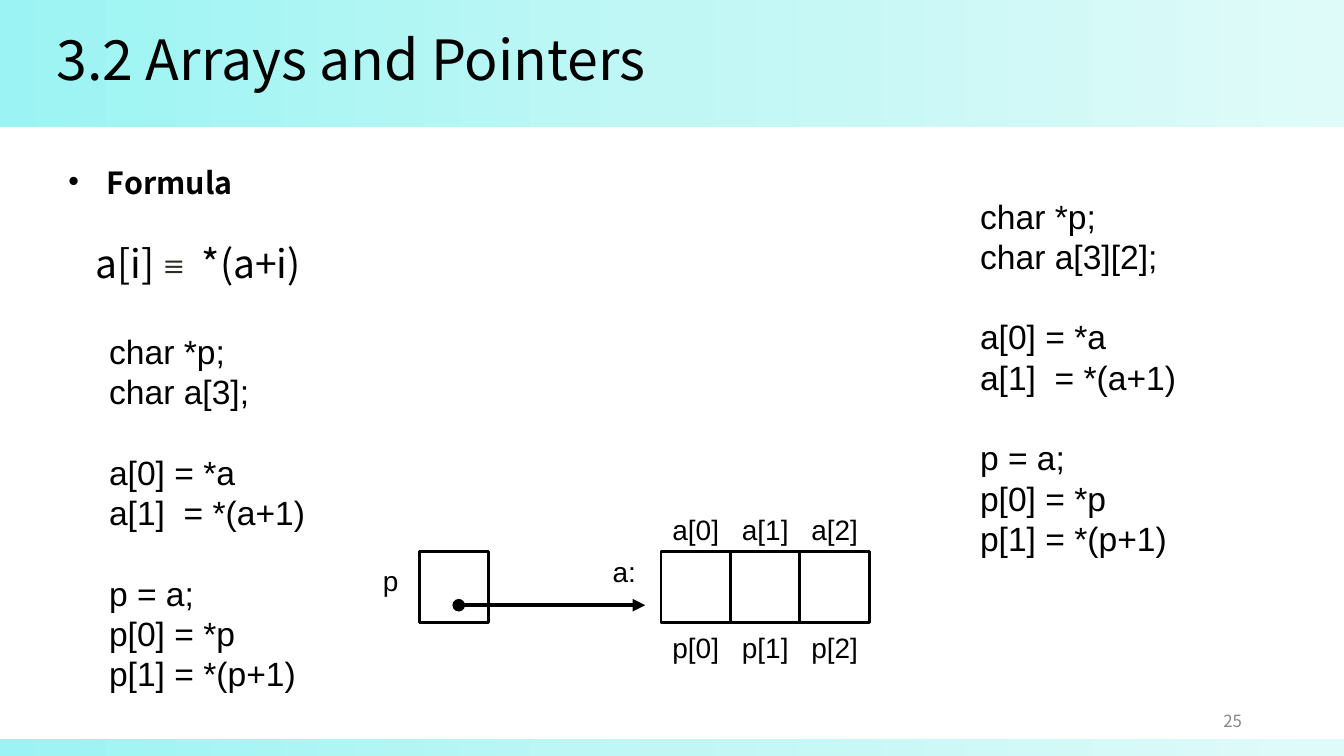
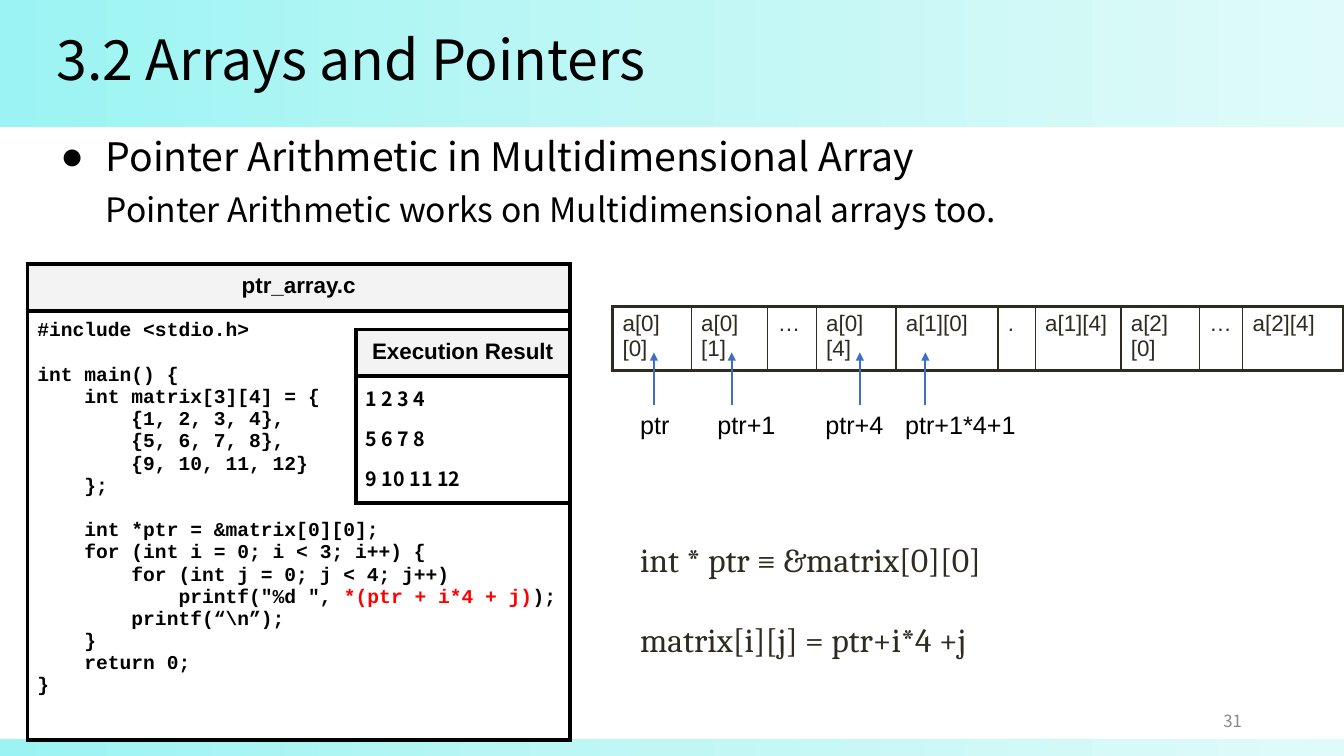
from dataclasses import dataclass
from typing import NamedTuple, Optional, Sequence

from lxml.etree import SubElement
from pptx import Presentation
from pptx.dml.color import RGBColor
from pptx.enum.shapes import MSO_CONNECTOR, MSO_SHAPE
from pptx.enum.text import MSO_ANCHOR as Anchor, MSO_AUTO_SIZE as AutoSize, PP_ALIGN as Align
from pptx.oxml.ns import qn
from pptx.util import Cm, Pt


@dataclass(frozen=True)
class Style:
    size: float
    font: str = "Arial"
    color: str = "000000"
    bold: bool = False


@dataclass(frozen=True)
class Theme:
    band: tuple = ((0, "9BF4F3"), (50, "C0F7F5"), (100, "DFFBF9"))
    black: str = "000000"
    white: str = "FFFFFF"
    ink: str = "2F2B20"
    header: str = "F3F3F3"
    arrow: str = "3F6FC3"
    title: Style = Style(39.6, "Noto Sans CJK KR")
    topic: Style = Style(28, "Noto Sans CJK KR")
    detail: Style = Style(24, "Noto Sans CJK KR")
    heading: Style = Style(21.7, "Noto Sans CJK KR", bold=True)
    formula: Style = Style(27.9, "Noto Sans CJK KR")
    symbol: Style = Style(27.9, "Cambria", "2F2B20")
    equation: Style = Style(24, "Cambria", "2F2B20")
    snippet: Style = Style(24)
    label: Style = Style(20)
    pointer: Style = Style(18)
    memory: Style = Style(16, color="2F2B20")
    table_head: Style = Style(16, bold=True)
    code: Style = Style(14, "Courier New", bold=True)
    code_mark: Style = Style(14, "Courier New", "FF0000", True)
    result: Style = Style(14, "Noto Sans CJK KR", bold=True)
    page: Style = Style(12, "Noto Sans CJK KR", "888888")


class Box(NamedTuple):
    """Left, top, width and height in centimetres."""
    x: float
    y: float
    w: float
    h: float


class Pointer(NamedTuple):
    text: str
    arrow_x: float
    label_x: float
    width: float = 2.08


T = Theme()
TITLE = "3.2 Arrays and Pointers"
SLIDE_W, SLIDE_H = 33.87, 19.05
BANDS = (Box(0, 0, SLIDE_W, 3.2), Box(0, 18.63, SLIDE_W, 0.42))
TITLE_BOX = Box(1.17, 0.69, 31.95, 1.78)
PAGE_BOX = Box(23.93, 17.65, 7.62, 1.02)

SNIPPET = """char *p;
char {array};

a[0] = *a
a[1]  = *(a+1)

p = a;
p[0] = *p
p[1] = *(p+1)"""

MARKED = "*(ptr + i*4 + j)"
PROGRAM = r"""#include <stdio.h>

int main() {
    int matrix[3][4] = {
        {1, 2, 3, 4},
        {5, 6, 7, 8},
        {9, 10, 11, 12}
    };

    int *ptr = &matrix[0][0];
    for (int i = 0; i < 3; i++) {
        for (int j = 0; j < 4; j++)
            printf("%d ", *(ptr + i*4 + j));
        printf(“\n”);
    }
    return 0;
}"""

MEMORY = (("a[0][0]", 1.98), ("a[0][1]", 1.93), ("…", 1.22), ("a[0][4]", 2.01),
          ("a[1][0]", 2.57), (".", 0.94), ("a[1][4]", 2.16), ("a[2][0]", 1.98),
          ("…", 1.09), ("a[2][4]", 2.54))
POINTERS = (Pointer("ptr", 16.48, 15.88), Pointer("ptr+1", 18.44, 17.83),
            Pointer("ptr+4", 21.67, 20.55), Pointer("ptr+1*4+1", 23.32, 22.56, 3.81))


def rgb(color: str) -> RGBColor:
    return RGBColor.from_string(color)


def lengths(box: Box) -> list:
    return [Cm(v) for v in box]


def place(shape, box: Box) -> None:
    shape.left, shape.top, shape.width, shape.height = lengths(box)


def format_run(r, style: Style) -> None:
    r.font.size, r.font.name, r.font.bold = Pt(style.size), style.font, style.bold
    r.font.color.rgb = rgb(style.color)


def write(p, *parts: tuple, align=Align.LEFT, spacing: Optional[float] = None,
          before: Optional[float] = None) -> None:
    """Fill a paragraph with (text, style) parts."""
    p.text = parts[0][0]
    for text, _ in parts[1:]:
        p.add_run().text = text
    for r, (_, style) in zip(p.runs, parts):
        format_run(r, style)
    p.alignment = align
    if spacing:
        p.line_spacing = spacing
    if before is not None:
        p.space_before = Pt(before)


def indent(p, left: float, first: float = 0, bullet: str = "") -> None:
    """Set the indents in centimetres and the bullet, or none."""
    pPr = p._p.get_or_add_pPr()
    pPr.set("marL", str(Cm(left)))
    pPr.set("indent", str(Cm(first)))
    if bullet:
        SubElement(SubElement(pPr, qn("a:buClr")), qn("a:srgbClr"), val=T.black)
        SubElement(pPr, qn("a:buChar"), char=bullet)
    else:
        SubElement(pPr, qn("a:buNone"))


def write_lines(tf, text: str, style: Style, gap: float = 0, left: float = 0,
                marked: str = "", mark: Optional[Style] = None) -> None:
    """Write one paragraph a line; an empty line becomes space before the next."""
    p, before = tf.paragraphs[0], 0
    for i, line in enumerate(text.split("\n")):
        if not line:
            before = gap
            continue
        if i:
            p = tf.add_paragraph()
        parts = [(line, style)]
        if marked and marked in line:
            head, _, tail = line.partition(marked)
            parts = [(head, style), (marked, mark), (tail, style)]
        write(p, *parts, before=before)
        if left:
            indent(p, left)
        before = 0


def add_text(s, box: Box):
    tf = s.shapes.add_textbox(*lengths(box)).text_frame
    tf.word_wrap = True
    return tf


def add_label(s, text: str, box: Box, style: Style, align=Align.LEFT) -> None:
    write(add_text(s, box).paragraphs[0], (text, style), align=align)


def add_cell(s, box: Box) -> None:
    cell = s.shapes.add_shape(MSO_SHAPE.RECTANGLE, *lengths(box))
    cell.shadow.inherit = False
    cell.fill.solid()
    cell.fill.fore_color.rgb = rgb(T.white)
    cell.line.color.rgb, cell.line.width = rgb(T.black), Pt(2)


def add_arrow(s, start: tuple, end: tuple, color: str, width: float, head: str = "none") -> None:
    c = s.shapes.add_connector(MSO_CONNECTOR.STRAIGHT, *map(Cm, start + end))
    c.line.color.rgb, c.line.width = rgb(color), Pt(width)
    spPr = c.element.spPr
    ln = spPr.find(qn("a:ln"))
    SubElement(ln, qn("a:headEnd"), type=head)
    SubElement(ln, qn("a:tailEnd"), type="triangle")
    SubElement(spPr, qn("a:effectLst"))


def add_grid(s, x: float, y: float, widths: Sequence[float], heights: Sequence[float]):
    box = Box(x, y, sum(widths), sum(heights))
    table = s.shapes.add_table(len(heights), len(widths), *lengths(box)).table
    table.first_row = table.horz_banding = False
    for col, w in zip(table.columns, widths):
        col.width = Cm(w)
    for row, h in zip(table.rows, heights):
        row.height = Cm(h)
    return table


def style_cell(cell, color: str, borders: Sequence[float], margin: float, fill: str = "") -> None:
    """Set the borders (left, right, top, bottom, in points), margins and fill."""
    tcPr = cell._tc.get_or_add_tcPr()
    for side, width in zip("LRTB", borders):
        ln = SubElement(tcPr, qn(f"a:ln{side}"), w=str(Pt(width)))
        SubElement(SubElement(ln, qn("a:solidFill")), qn("a:srgbClr"), val=color)
    cell.margin_left = cell.margin_right = Cm(0.25)
    cell.margin_top = cell.margin_bottom = Cm(margin)
    if fill:
        cell.fill.solid()
        cell.fill.fore_color.rgb = rgb(fill)
    else:
        cell.fill.background()


def add_panel(s, heading: str, box: Box, head_h: float = 1.1):
    """Draw a framed heading over one cell and return that cell's text frame."""
    table = add_grid(s, box.x, box.y, [box.w], [head_h, box.h - head_h])
    head, body = table.cell(0, 0), table.cell(1, 0)
    for cell, fill in ((head, T.header), (body, "")):
        style_cell(cell, T.black, [3] * 4, 0.25, fill)
    write(head.text_frame.paragraphs[0], (heading, T.table_head), align=Align.CENTER)
    return body.text_frame


def add_bands(s, layout) -> None:
    """Draw the gradient bands and move them behind everything on the layout."""
    for box in BANDS:
        band = s.shapes.add_shape(MSO_SHAPE.RECTANGLE, *lengths(box))
        band.shadow.inherit = False
        band.line.fill.background()
        band.fill.gradient()
        band.fill.gradient_angle = 0
        stops = band.element.spPr.find(".//" + qn("a:gsLst"))
        stops.clear()
        for pos, color in T.band:
            gs = SubElement(stops, qn("a:gs"), pos=str(pos * 1000))
            SubElement(gs, qn("a:srgbClr"), val=color)
        layout.shapes.element.insert(2, band.element)


def add_slide(prs, layout, page: str, body_box: Box):
    """Add a slide with title and page number; return it and its body frame."""
    s = prs.slides.add_slide(layout)
    body = s.placeholders[1]
    place(s.shapes.title, TITLE_BOX)
    place(body, body_box)
    for shape in (s.shapes.title, body):
        shape.text_frame.auto_size = AutoSize.NONE
    s.shapes.title.text_frame.vertical_anchor = Anchor.MIDDLE
    write(s.shapes.title.text_frame.paragraphs[0], (TITLE, T.title), spacing=0.9)
    number = add_text(s, PAGE_BOX)
    number.vertical_anchor = Anchor.MIDDLE
    write(number.paragraphs[0], (page, T.page), align=Align.RIGHT)
    return s, body.text_frame


def build_formula(prs, layout):
    s, tf = add_slide(prs, layout, "25", Box(1.17, 4.26, 15.52, 6.02))
    write(tf.paragraphs[0], ("Formula", T.heading), spacing=0.7, before=10)
    indent(tf.paragraphs[0], 1.27, -0.97, "•")
    p = tf.add_paragraph()
    write(p, ("a[i] ", T.formula), ("≡ ", T.symbol), (" *(a+i)", T.formula),
          spacing=0.7, before=37.5)
    indent(p, 0.98)
    for array, box in (("a[3]", Box(2.2, 8.21, 11.96, 10.52)),
                       ("a[3][2]", Box(24.15, 4.8, 6.88, 10.52))):
        write_lines(add_text(s, box), SNIPPET.format(array=array), T.snippet, 28.8, 0.3)

    cell = Box(16.66, 13.9, 1.75, 1.78)
    for i in range(3):
        x = cell.x + i * cell.w
        add_cell(s, cell._replace(x=x))
        for name, y in (("a", 12.8), ("p", 15.77)):
            add_label(s, f"{name}[{i}]", Box(x - 0.25, y, cell.w + 0.5, 1.12),
                      T.label, Align.CENTER)
    add_cell(s, cell._replace(x=10.57))
    add_label(s, "p", Box(9.4, 14.07, 1, 1.12), T.label)
    add_label(s, "a:", Box(15.19, 13.84, 1.42, 1.12), T.label)
    add_arrow(s, (11.56, 15.25), (16.26, 15.25), T.black, 3, "oval")
    return s


def build_arithmetic(prs, layout) -> None:
    s, tf = add_slide(prs, layout, "31", Box(1.14, 3.33, 29.21, 14.43))
    write(tf.paragraphs[0], ("Pointer Arithmetic in Multidimensional Array", T.topic),
          spacing=0.9, before=10)
    indent(tf.paragraphs[0], 1.27, -1.14, "●")
    p = tf.add_paragraph()
    write(p, ("Pointer Arithmetic works on Multidimensional arrays too.", T.detail),
          spacing=0.9, before=10)
    indent(p, 1.27)

    program = add_panel(s, "ptr_array.c", Box(0.69, 6.65, 13.67, 11.92))
    write_lines(program, PROGRAM, T.code, 15.9, marked=MARKED, mark=T.code_mark)
    result = add_panel(s, "Execution Result", Box(8.97, 8.3, 5.38, 4.3))
    write_lines(result, "1 2 3 4\n5 6 7 8\n9 10 11 12", T.result)
    for p in result.paragraphs:
        p.line_spacing, p.space_before = 0.9, Pt(10)
    write_lines(add_text(s, Box(15.88, 13.46, 14.91, 3.33)),
                "int * ptr ≡ &matrix[0][0]\n\nmatrix[i][j] = ptr+i*4 +j", T.equation, 28.5)

    table = add_grid(s, 15.44, 7.72, [w for _, w in MEMORY], [1.57])
    last = len(MEMORY) - 1
    for i, (text, _) in enumerate(MEMORY):
        cell = table.cell(0, i)
        sides = [2.25 if i == 0 else 1, 2.25 if i == last else 1, 2.25, 2.25]
        style_cell(cell, T.ink, sides, 0.13)
        write(cell.text_frame.paragraphs[0], (text, T.memory))
    for ptr in POINTERS:
        add_arrow(s, (ptr.arrow_x, 10.2), (ptr.arrow_x, 8.88), T.arrow, 1.5)
        add_label(s, ptr.text, Box(ptr.label_x, 10.2, ptr.width, 1.02), T.pointer)


def main() -> None:
    prs = Presentation()
    prs.slide_width, prs.slide_height = Cm(SLIDE_W), Cm(SLIDE_H)
    layout = prs.slide_layouts[1]
    add_bands(build_formula(prs, layout), layout)
    build_arithmetic(prs, layout)
    prs.save("out.pptx")


if __name__ == "__main__":
    main()
